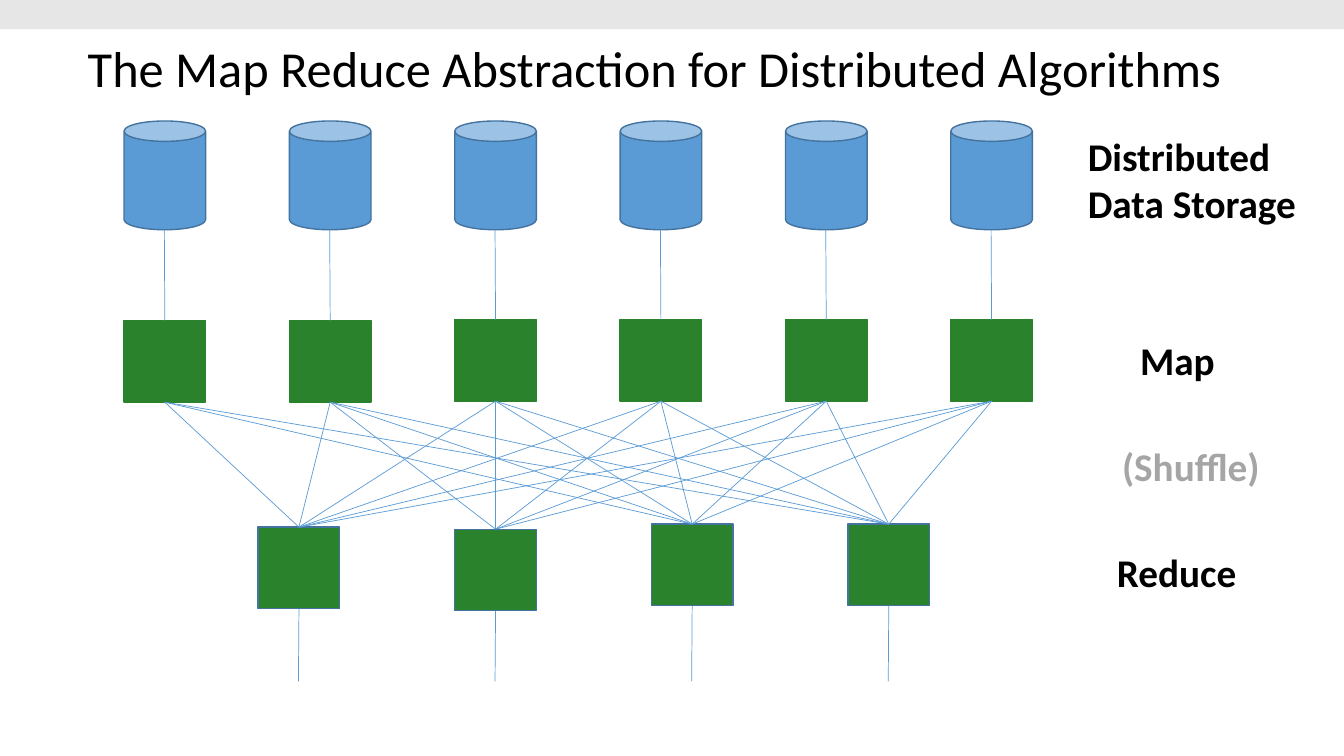
"""Build a slide on the map reduce abstraction for distributed algorithms."""
from lxml import etree
from pptx import Presentation
from pptx.dml.color import RGBColor
from pptx.enum.shapes import MSO_CONNECTOR, MSO_SHAPE
from pptx.enum.text import MSO_ANCHOR, MSO_AUTO_SIZE, PP_ALIGN
from pptx.oxml.ns import qn
from pptx.util import Pt

RECT, CAN, STRAIGHT = MSO_SHAPE.RECTANGLE, MSO_SHAPE.CAN, MSO_CONNECTOR.STRAIGHT
LEFT, MIDDLE = PP_ALIGN.LEFT, MSO_ANCHOR.MIDDLE
GROW, FIXED = MSO_AUTO_SIZE.SHAPE_TO_FIT_TEXT, MSO_AUTO_SIZE.NONE
TOP_SIDE, BOTTOM_SIDE = 0, 2

BLACK = RGBColor(0x00, 0x00, 0x00)
SILVER = RGBColor(0xE7, 0xE6, 0xE6)
GRAY = RGBColor(0xA5, 0xA5, 0xA5)
BLUE = RGBColor(0x5B, 0x9B, 0xD5)
NAVY = RGBColor(0x43, 0x73, 0x9E)
GREEN = RGBColor(0x2B, 0x82, 0x2C)

EMU_PER_PX = 9144
WIDTH, HEIGHT = 1333, 750
SIZE = 81
STORE_TOP, STORE_HEIGHT = 120, 108
MAP_LEFT, MAP_STEP = 123, 164
MAP_TOPS = (318, 318, 317, 317, 317, 317)
REDUCE_LEFT, REDUCE_STEP = 256, 195
REDUCE_TOPS = (523, 525, 520, 520)
OUTPUT_END = 676
UNLINKED = {(0, 1)}
LABELS = (
    ("Distributed Data Storage", 1069, 126, 104, BLACK),
    ("Map", 1121, 329, 57, BLACK),
    ("Reduce", 1098, 539, 57, BLACK),
    ("(Shuffle)", 1103, 434, 57, GRAY),
)


def px(*lengths):
    return [length * EMU_PER_PX for length in lengths]


class Sketch:
    """Hold the style and the current page."""

    font = "Calibri"

    def __init__(self, deck):
        self.page = deck.slides.add_slide(deck.slide_layouts[5])
        self.shapes = self.page.shapes

    def add_span(self, para, text, size, color, bold):
        para.alignment = LEFT
        span = para.add_run()
        span.text = text
        span.font.name = self.font
        span.font.size = Pt(size)
        span.font.bold = bold
        span.font.color.rgb = color

    def title(self, text, left, top, width, height):
        box = self.shapes.title
        box.left, box.top, box.width, box.height = px(left, top, width, height)
        frame = box.text_frame
        frame.auto_size = FIXED
        frame.vertical_anchor = MIDDLE
        para = frame.paragraphs[0]
        para.line_spacing = 0.9
        self.add_span(para, text, 36, BLACK, False)

    def label(self, text, left, top, height, color):
        box = self.shapes.add_textbox(*px(left, top, 235, height))
        box.text_frame.word_wrap = True
        box.text_frame.auto_size = GROW
        self.add_span(box.text_frame.paragraphs[0], text, 28, color, True)

    def shape(self, kind, left, top, width, height, fill, line=None):
        shape = self.shapes.add_shape(kind, *px(left, top, width, height))
        shape.shadow.inherit = False
        shape.fill.solid()
        shape.fill.fore_color.rgb = fill
        if line is None:
            shape.line.fill.background()
        else:
            shape.line.color.rgb = line
            shape.line.width = Pt(1)
        return shape

    def link(self, start=None, end=None, x=0, y=0):
        """Join boxes bottom to top, with (x, y) standing in for a missing one."""
        line = self.shapes.add_connector(STRAIGHT, *px(x, y, x, y))
        if start is not None:
            line.begin_connect(start, BOTTOM_SIDE)
        if end is not None:
            line.end_connect(end, TOP_SIDE)
        line.line.color.rgb = BLUE
        line.line.width = Pt(0.5)
        etree.SubElement(line._element.spPr, qn("a:effectLst"))


def main():
    deck = Presentation()
    deck.slide_width, deck.slide_height = px(WIDTH, HEIGHT)
    sketch = Sketch(deck)
    sketch.title("The Map Reduce Abstraction for Distributed Algorithms",
                 77, -2, 1150, 145)
    sketch.shape(RECT, 0, 0, WIDTH, 29, SILVER)

    mappers = []
    for column, top in enumerate(MAP_TOPS):
        left = MAP_LEFT + column * MAP_STEP
        sketch.shape(CAN, left, STORE_TOP, SIZE, STORE_HEIGHT, BLUE, NAVY)
        mappers.append(sketch.shape(RECT, left, top, SIZE, SIZE, GREEN, GREEN))
    reducers = [
        sketch.shape(RECT, REDUCE_LEFT + column * REDUCE_STEP, top,
                     SIZE, SIZE, GREEN, NAVY)
        for column, top in enumerate(REDUCE_TOPS)
    ]

    for label in LABELS:
        sketch.label(*label)

    for column, mapper in enumerate(mappers):
        center = MAP_LEFT + column * MAP_STEP + SIZE // 2
        sketch.link(end=mapper, x=center, y=STORE_TOP + STORE_HEIGHT)
    for target, reducer in enumerate(reducers):
        for source, mapper in enumerate(mappers):
            if (source, target) not in UNLINKED:
                sketch.link(mapper, reducer)
        center = REDUCE_LEFT + target * REDUCE_STEP + SIZE // 2
        sketch.link(start=reducer, x=center, y=OUTPUT_END)

    deck.save("out.pptx")


if __name__ == "__main__":
    main()
